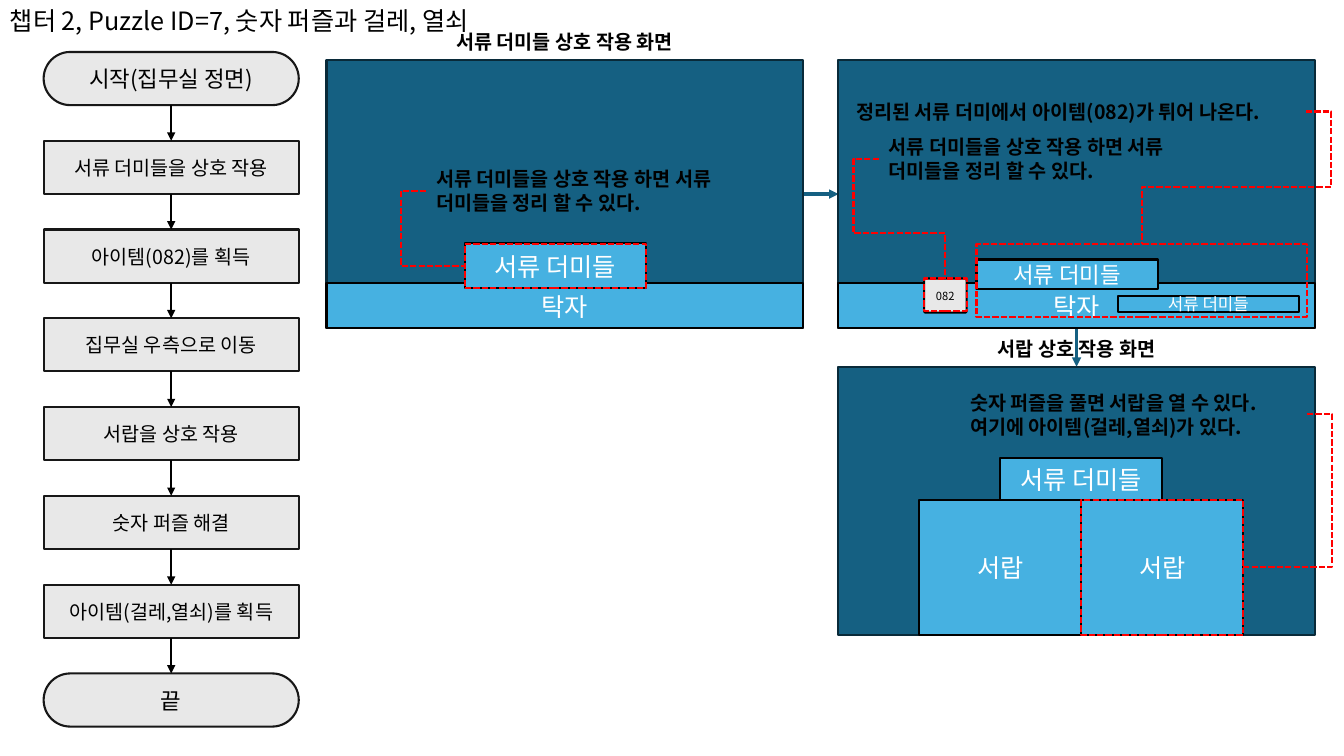
from dataclasses import dataclass

from lxml import etree
from pptx import Presentation
from pptx import util as u
from pptx.dml.color import RGBColor
from pptx.enum import dml, shapes, text
from pptx.oxml import ns


@dataclass(frozen=True)
class Theme:
    font: str = "Noto Sans CJK KR"
    black: str = "000000"
    white: str = "FFFFFF"
    step_fill: str = "E8E8E8"
    step_line: str = "171717"
    screen: str = "156082"
    screen_line: str = "092A39"
    prop: str = "46B1E1"
    mark: str = "FF0000"
    title: float = 18
    ending: float = 16
    body: float = 14
    small: float = 12
    tiny: float = 8
    leading: float = 1.22
    thin: float = 1.5
    thick: float = 2.25


THEME = Theme()
KINDS = shapes.MSO_SHAPE


@dataclass(frozen=True)
class Box:
    """A rectangle in centimetres."""
    left: float
    top: float
    width: float
    height: float

    def inner(self, left, top, width, height):
        return Box(self.left + left, self.top + top, width, height)

    def point(self, x, y):
        return self.left + x, self.top + y

    @property
    def lengths(self):
        return [u.Cm(n) for n in (self.left, self.top, self.width, self.height)]

    @property
    def middle(self):
        return self.left + self.width / 2, self.top + self.height / 2


def set_all(target, values):
    for name, value in values.items():
        setattr(target, name, value)


def write(frame, lines, size, color, bold=False, align=text.PP_ALIGN.LEFT,
          anchor=text.MSO_ANCHOR.TOP):
    set_all(frame, dict(word_wrap=True, auto_size=text.MSO_AUTO_SIZE.NONE,
                        vertical_anchor=anchor,
                        margin_left=u.Cm(0.25), margin_right=u.Cm(0.25),
                        margin_top=u.Cm(0.13), margin_bottom=u.Cm(0.13)))
    for number, line in enumerate(lines):
        para = frame.add_paragraph() if number else frame.paragraphs[0]
        set_all(para, dict(alignment=align, line_spacing=u.Pt(size * THEME.leading)))
        span = para.add_run()
        span.text = line
        set_all(span.font, dict(name=THEME.font, size=u.Pt(size), bold=bold))
        span.font.color.rgb = RGBColor.from_string(color)
        east_asian = etree.SubElement(span.font._element, ns.qn("a:ea"))
        east_asian.set("typeface", THEME.font)


def stroke(line, color, width=THEME.thin, dashed=False):
    line.color.rgb = RGBColor.from_string(color)
    line.width = u.Pt(width)
    if dashed:
        line.dash_style = dml.MSO_LINE.SQUARE_DOT


def block(page, box, fill, line, label="", size=THEME.title, color=THEME.white,
          kind=KINDS.RECTANGLE, corner=None):
    shape = page.shapes.add_shape(kind, *box.lengths)
    shape.shadow.inherit = False
    shape.fill.solid()
    shape.fill.fore_color.rgb = RGBColor.from_string(fill)
    stroke(shape.line, line)
    if corner is not None:
        shape.adjustments[0] = corner
    if label:
        write(shape.text_frame, [label], size, color,
              align=text.PP_ALIGN.CENTER, anchor=text.MSO_ANCHOR.MIDDLE)


def prop(page, box, label, size=THEME.title):
    block(page, box, THEME.prop, THEME.black, label, size)


def highlight(page, box):
    shape = page.shapes.add_shape(KINDS.RECTANGLE, *box.lengths)
    shape.shadow.inherit = False
    shape.fill.background()
    stroke(shape.line, THEME.mark, dashed=True)


def note(page, box, *lines, align=text.PP_ALIGN.LEFT):
    frame = page.shapes.add_textbox(*box.lengths).text_frame
    write(frame, lines, THEME.body, THEME.black, bold=True, align=align)


def connect(page, kind, start, end):
    line = page.shapes.add_connector(kind, *[u.Cm(n) for n in (*start, *end)])
    etree.SubElement(line._element.spPr, ns.qn("a:effectLst"))
    return line


def arrow(page, start, end, color, width):
    line = connect(page, shapes.MSO_CONNECTOR.STRAIGHT, start, end)
    stroke(line.line, color, width)
    etree.SubElement(line.line._get_or_add_ln(), ns.qn("a:tailEnd")).set("type", "triangle")


def leader(page, start, end, turn_x, turn_y=None):
    """Dashed elbow that turns at turn_x and, if given, again at turn_y."""
    line = connect(page, shapes.MSO_CONNECTOR.ELBOW, start, end)
    stroke(line.line, THEME.mark, dashed=True)
    shares = [(turn_x - start[0]) / (end[0] - start[0])]
    if turn_y is not None:
        shares.append((turn_y - start[1]) / (end[1] - start[1]))
    preset = line._element.spPr.find(ns.qn("a:prstGeom"))
    preset.set("prst", f"bentConnector{2 + len(shares)}")
    guides = preset.find(ns.qn("a:avLst"))
    for number, share in enumerate(shares, 1):
        guide = etree.SubElement(guides, ns.qn("a:gd"))
        guide.set("name", f"adj{number}")
        guide.set("fmla", f"val {round(share * 100000)}")


def heading(page, box, words):
    title = page.shapes.title
    set_all(title, dict(zip(("left", "top", "width", "height"), box.lengths)))
    write(title.text_frame, [words], THEME.title, THEME.black)


def flowchart(page, box, steps):
    height = 1.34
    pitch = (box.height - height) / (len(steps) - 1)
    for number, label in enumerate(steps):
        place = box.inner(0, number * pitch, box.width, height)
        ending = number in (0, len(steps) - 1)
        block(page, place, THEME.step_fill, THEME.step_line, label,
              THEME.ending if ending else THEME.body, THEME.black,
              KINDS.ROUNDED_RECTANGLE if ending else KINDS.RECTANGLE,
              0.5 if ending else None)
        if number:
            x = place.middle[0]
            arrow(page, (x, place.top - pitch + height), (x, place.top),
                  THEME.black, THEME.thin)


def screen(page, box, caption=""):
    block(page, box, THEME.screen, THEME.screen_line)
    if caption:
        note(page, box.inner(0, -0.89, box.width, 0.86), caption,
             align=text.PP_ALIGN.CENTER)


def desk(page, box):
    prop(page, box.inner(0, box.height - 1.13, box.width, 1.13), "탁자")


TIDY_HINT = "서류 더미들을 상호 작용 하면 서류 더미들을 정리 할 수 있다."
PAPERS = "서류 더미들"


def papers_screen(page, box):
    screen(page, box, "서류 더미들 상호 작용 화면")
    desk(page, box)
    prop(page, box.inner(3.48, 4.62, 4.57, 1.13), PAPERS)
    highlight(page, box.inner(3.48, 4.65, 4.57, 1.1))
    leader(page, box.point(2.51, 3.3), box.point(3.48, 5.2), box.left + 1.88)
    note(page, box.inner(2.51, 2.57, 7.54, 1.45), TIDY_HINT)


def tidied_screen(page, box):
    screen(page, box)
    desk(page, box)
    prop(page, box.inner(3.48, 5.03, 4.57, 0.74), PAPERS, THEME.ending)
    prop(page, box.inner(7.04, 5.94, 4.57, 0.41), PAPERS, THEME.small)
    block(page, box.inner(2.16, 5.51, 1.07, 0.86), THEME.step_fill, THEME.black,
          "082", THEME.tiny, THEME.black, KINDS.ROUNDED_RECTANGLE, 0.05)
    highlight(page, box.inner(3.48, 4.65, 8.33, 1.83))
    highlight(page, box.inner(2.16, 5.51, 1.07, 0.81))
    leader(page, box.point(11.78, 1.3), box.point(7.65, 4.65),
           *box.point(12.42, 3.2))
    leader(page, box.point(1.02, 2.49), box.point(2.69, 5.51),
           *box.point(0.38, 4.37))
    note(page, box.inner(0.2, 0.86, 11.58, 0.86),
         "정리된 서류 더미에서 아이템(082)가 튀어 나온다.")
    note(page, box.inner(1.02, 1.75, 7.54, 1.45), TIDY_HINT)


def drawer_screen(page, box):
    screen(page, box, "서랍 상호 작용 화면")
    drawers = [box.inner(2.04 + side * 4.08, 3.36, 4.08, 3.4) for side in range(2)]
    for drawer in drawers:
        prop(page, drawer, "서랍")
    prop(page, box.inner(4.08, 2.3, 4.08, 1.06), PAPERS)
    highlight(page, drawers[1])
    leader(page, box.point(11.81, 1.2), box.point(10.2, 5.04), box.left + 12.45)
    note(page, box.inner(3.07, 0.48, 8.74, 1.45),
         "숫자 퍼즐을 풀면 서랍을 열 수 있다.", "여기에 아이템(걸레,열쇠)가 있다.")


def main():
    deck = Presentation()
    set_all(deck, dict(slide_width=u.Cm(33.87), slide_height=u.Cm(19.05)))
    page = deck.slides.add_slide(deck.slide_layouts[5])
    heading(page, Box(0, 0, 14, 1.03), "챕터 2, Puzzle ID=7, 숫자 퍼즐과 걸레, 열쇠")
    flowchart(page, Box(1.1, 1.31, 6.43, 17),
              ["시작(집무실 정면)", "서류 더미들을 상호 작용", "아이템(082)를 획득",
               "집무실 우측으로 이동", "서랍을 상호 작용", "숫자 퍼즐 해결",
               "아이템(걸레,열쇠)를 획득", "끝"])
    papers = Box(8.23, 1.51, 12, 6.76)
    tidied = Box(21.13, 1.51, 12, 6.76)
    drawer = Box(21.13, 9.24, 12, 6.76)
    arrow(page, (papers.left + papers.width, papers.middle[1]),
          (tidied.left, tidied.middle[1]), THEME.screen, THEME.thick)
    arrow(page, (tidied.middle[0], tidied.top + tidied.height),
          (drawer.middle[0], drawer.top), THEME.screen, THEME.thick)
    papers_screen(page, papers)
    tidied_screen(page, tidied)
    drawer_screen(page, drawer)
    deck.save("out.pptx")


if __name__ == "__main__":
    main()
